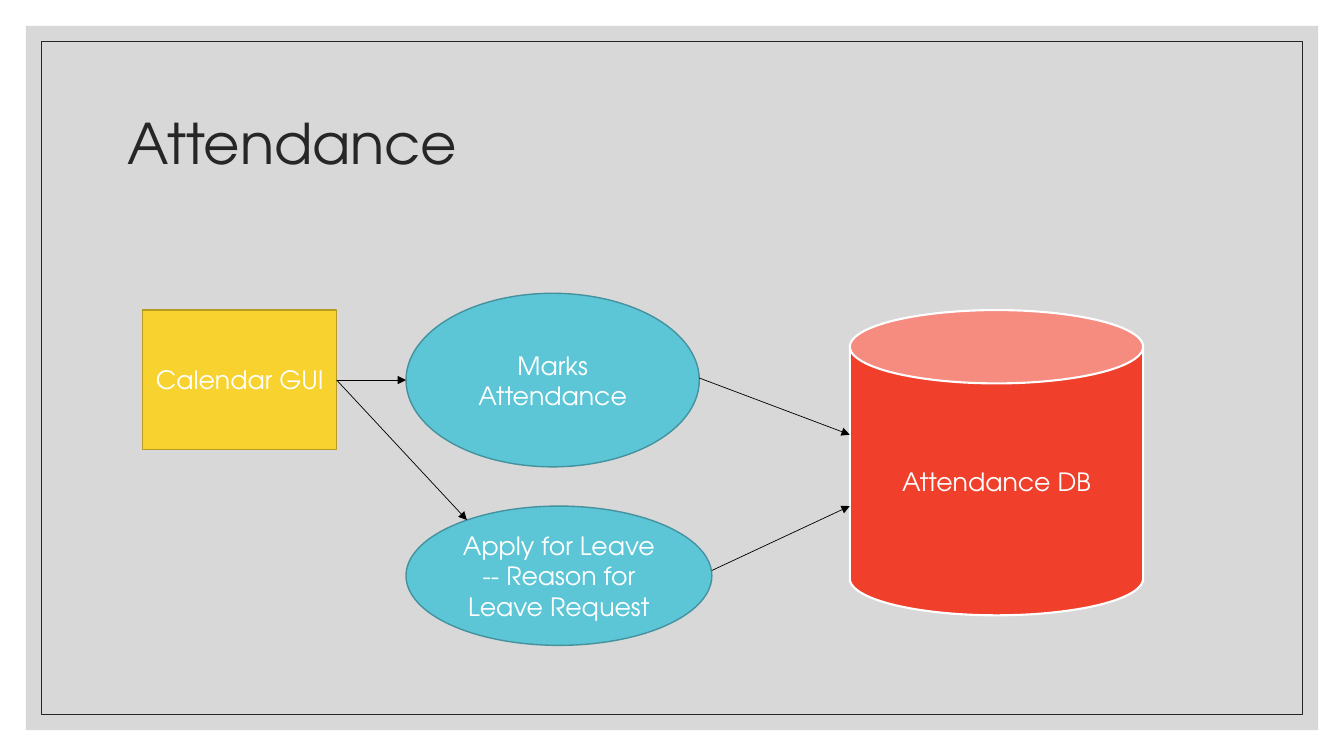
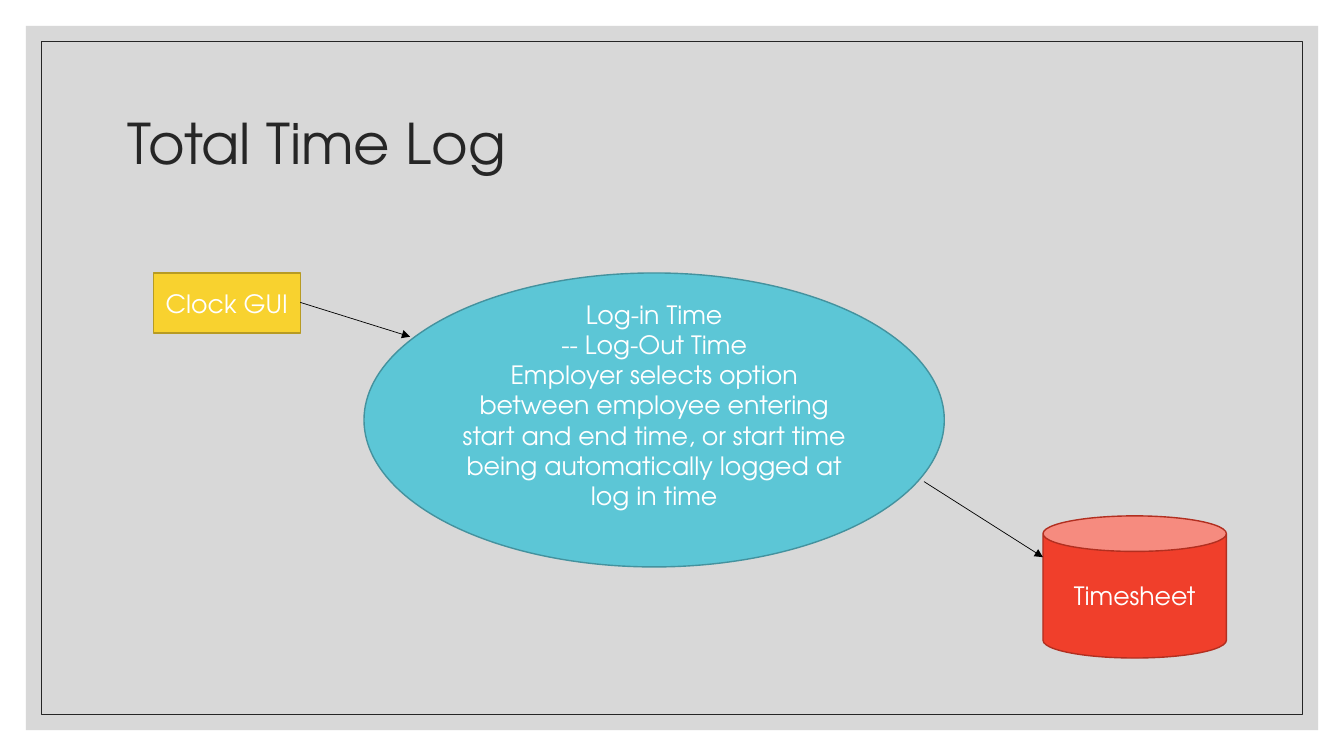
from dataclasses import dataclass
from pptx import Presentation
from pptx.dml.color import RGBColor
from pptx.enum.shapes import MSO_CONNECTOR, MSO_SHAPE
from pptx.enum.text import MSO_ANCHOR, PP_ALIGN
from pptx.oxml.ns import qn
from pptx.util import Pt
from lxml.etree import SubElement


@dataclass(frozen=True)
class Theme:
    font: str = "TeX Gyre Adventor"
    title: float = 40
    body: float = 18
    ink: str = "262626"
    white: str = "FFFFFF"
    black: str = "000000"
    panel: str = "BFBFBF"
    blue: str = "5CC6D6"
    teal: str = "44929E"
    yellow: str = "F8D22F"
    gold: str = "B79B23"
    red: str = "F03F2B"
    brick: str = "B22F20"


T = Theme()
WIDE, HIGH = 960, 540
BOX = (MSO_SHAPE.RECTANGLE, T.yellow, T.gold, 1)
OVAL = (MSO_SHAPE.OVAL, T.blue, T.teal, 1)
CAN = (MSO_SHAPE.CAN, T.red, T.brick, 1)
PALE = (MSO_SHAPE.CAN, T.red, T.white, 1.5)
BACK = (MSO_SHAPE.RECTANGLE, T.panel, None, 0)
FRAME = (MSO_SHAPE.RECTANGLE, None, T.ink, 0.5)

# Nodes: style, place, paragraphs, bottom inset. Arrows: x1, y1, x2, y2.
SLIDES = [
    ("Attendance", [
        (OVAL, (290, 209.5, 209.5, 124), ["Marks Attendance"], 3.6),
        (OVAL, (290, 361.5, 218.5, 99.5),
         ["Apply for Leave", "-- Reason for Leave Request"], 3.6),
        (BOX, (102, 221.5, 138.5, 99.5), ["Calendar GUI"], 3.6),
        (PALE, (607, 221.5, 209.5, 218), ["Attendance DB"], 3.6),
    ], [
        (240.5, 271.5, 290, 271.5),
        (240.5, 271.5, 333.5, 371.5),
        (499.5, 270, 607, 310.5),
        (508.5, 407.5, 607, 361.5),
    ]),
    ("Total Time Log", [
        (OVAL, (260, 195, 414.5, 210),
         ["Log-in Time", "-- Log-Out Time",
          "Employer selects option between employee entering start and end "
          "time, or start time being automatically logged at log in time"],
         25.2),
        (BOX, (109.5, 195, 105, 43), ["Clock GUI"], 3.6),
        (CAN, (745, 368.5, 131, 101.5), ["Timesheet"], 3.6),
    ], [
        (214.5, 216, 293, 240.5),
        (660, 344, 745, 398),
    ]),
]


def draw(slide, style, place):
    """Add a preset shape in one of the styles above."""
    kind, fill, line, width = style
    shape = slide.shapes.add_shape(kind, *map(Pt, place))
    shape.shadow.inherit = False
    if fill:
        shape.fill.solid()
        shape.fill.fore_color.rgb = RGBColor.from_string(fill)
    else:
        shape.fill.background()
    if line:
        shape.line.color.rgb = RGBColor.from_string(line)
        shape.line.width = Pt(width)
    else:
        shape.line.fill.background()
    return shape


def write(shape, lines, size, color, align):
    """Fill a shape with one run per paragraph, centred vertically."""
    frame = shape.text_frame
    frame.word_wrap = True
    frame.vertical_anchor = MSO_ANCHOR.MIDDLE
    for i, text in enumerate(lines):
        para = frame.add_paragraph() if i else frame.paragraphs[0]
        para.alignment = align
        run = para.add_run()
        run.text = text
        run.font.name = T.font
        run.font.size = Pt(size)
        run.font.color.rgb = RGBColor.from_string(color)
    return frame


deck = Presentation()
deck.slide_width, deck.slide_height = Pt(WIDE), Pt(HIGH)

for title, nodes, arrows in SLIDES:
    slide = deck.slides.add_slide(deck.slide_layouts[6])

    for style, gap in ((BACK, 18.5), (FRAME, 29.5)):
        panel = draw(slide, style, (gap, gap, WIDE - 2 * gap, HIGH - 2 * gap))
        if style is BACK:
            tint = panel.fill._xPr.find(qn("a:solidFill"))[0]
            SubElement(tint, qn("a:alpha"), val="60000")

    head = slide.shapes.add_textbox(*map(Pt, (84, 50.5, 792, 108)))
    frame = write(head, [title], T.title, T.ink, PP_ALIGN.LEFT)
    frame.paragraphs[0].line_spacing = 0.9

    for style, place, lines, inset in nodes:
        node = draw(slide, style, place)
        frame = write(node, lines, T.body, T.white, PP_ALIGN.CENTER)
        frame.margin_bottom = Pt(inset)

    for ends in arrows:
        arrow = slide.shapes.add_connector(
            MSO_CONNECTOR.STRAIGHT, *map(Pt, ends))
        arrow.line.color.rgb = RGBColor.from_string(T.black)
        arrow.line.width = Pt(0.5)
        SubElement(arrow.line._get_or_add_ln(), qn("a:tailEnd"),
                   type="triangle")
        SubElement(arrow._element.spPr, qn("a:effectLst"))

deck.save("out.pptx")
